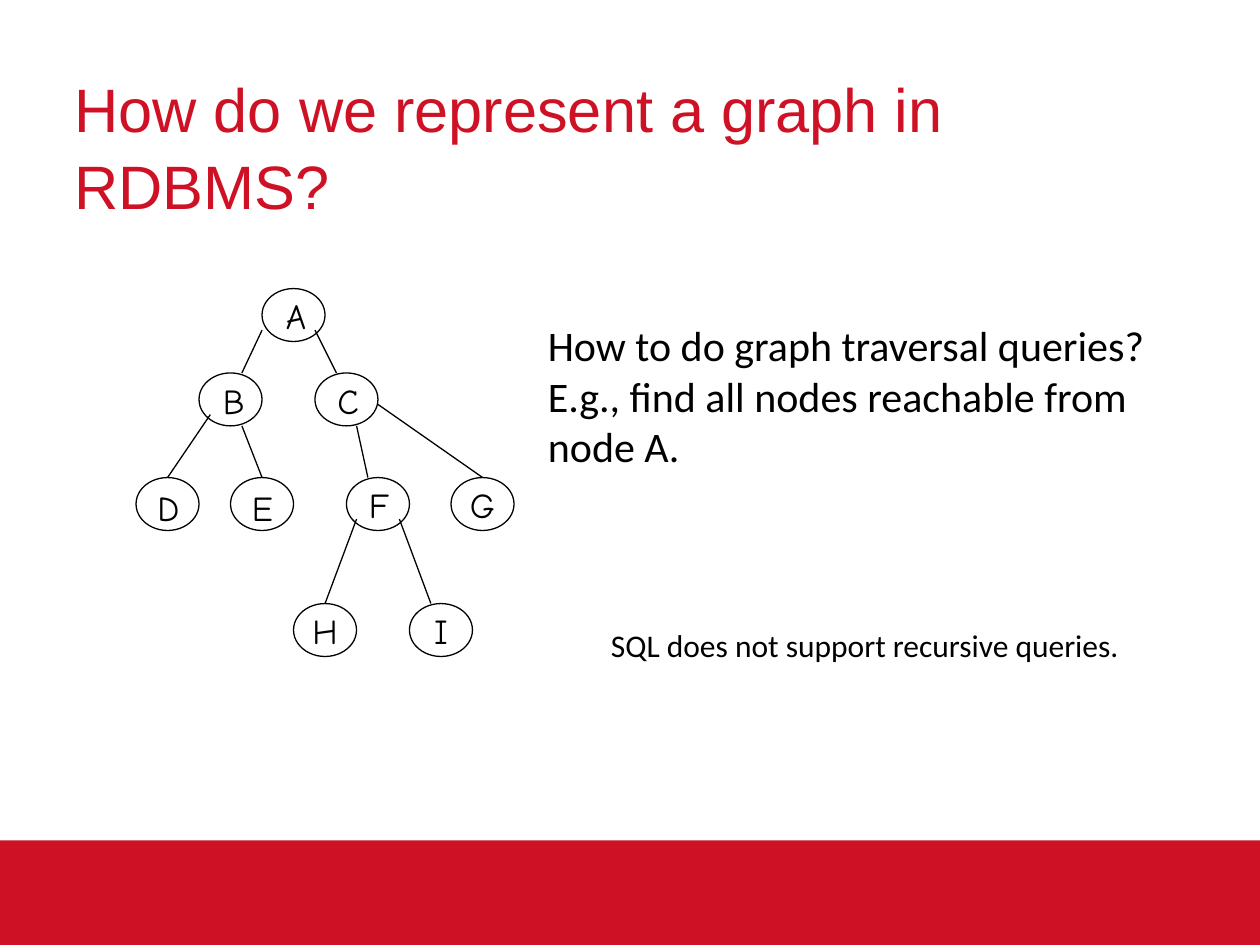
import pptx
import pptx.util
import pptx.dml.color
import pptx.enum.shapes
import pptx.enum.text
import pptx.oxml.ns
import lxml.etree

Inches, Pt = pptx.util.Inches, pptx.util.Pt
Kind = pptx.enum.shapes.MSO_SHAPE
Anchor = pptx.enum.text.MSO_ANCHOR
Align = pptx.enum.text.PP_ALIGN
Fit = pptx.enum.text.MSO_AUTO_SIZE

# Content
TITLE = "How do we represent a graph in RDBMS?"
NOTES = [
    (["How to do graph traversal queries?",
      "E.g., find all nodes reachable from node A."],
     (4.25, 2.49, 5.5, 1.31), "body", True),
    (["SQL does not support recursive queries."],
     (4.75, 4.92, 4.28, 0.4), "note", False),
]
ROWS = [2.29, 2.96, 3.79, 4.79]
# name: left, row, label box (dx, dy, width) or None for text in the node
NODES = {
    "A": (2.08, 0, (0.09, 0, 0.4)),
    "B": (1.58, 1, (0.09, 0, 0.38)),
    "C": (2.5, 1, (0.08, 0, 0.37)),
    "D": (1.08, 2, (0.07, 0.02, 0.4)),
    "E": (1.83, 2, (0.07, 0.02, 0.38)),
    "F": (2.75, 2, (0.08, 0, 0.37)),
    "G": (3.58, 2, None),
    "H": (2.33, 3, None),
    "I": (3.25, 3, None),
}
# parent, child, exit point in the parent, entry point on the child's top
EDGES = [
    ("A", "B", (0, 0.33), 0.34), ("A", "C", (0.42, 0.33), 0.17),
    ("B", "D", (0.09, 0.33), 0.25), ("B", "E", (0.34, 0.42), 0.25),
    ("C", "F", (0.33, 0.42), 0.17), ("C", "G", (0.5, 0.25), 0.25),
    ("F", "H", (0.08, 0.33), 0.25), ("F", "I", (0.42, 0.33), 0.17),
]
NODE = (0.5, 0.42)
LABEL = 0.43

THEME = {
    "red": pptx.dml.color.RGBColor.from_string("CE1125"),
    "ink": pptx.dml.color.RGBColor.from_string("000000"),
    "line": Pt(0.75),
    "title": {"name": "Arial", "size": Pt(35)},
    "body": {"name": "Calibri", "size": Pt(24)},
    "note": {"name": "Calibri", "size": Pt(18)},
    "node": {"name": "Comic Neue", "size": Pt(20)},
}


def put(item, values):
    for key, value in values.items():
        setattr(item, key, value)


def box(*sides):
    return [Inches(side) for side in sides]


def write(frame, lines, style, color="ink", align=Align.LEFT, **values):
    put(frame, values)
    frame.text = "\n".join(lines)
    for para in frame.paragraphs:
        para.alignment = align
        for run in para.runs:
            put(run.font, THEME[style])
            run.font.color.rgb = THEME[color]


def stroke(line):
    line.color.rgb = THEME["ink"]
    line.width = THEME["line"]


deck = pptx.Presentation()
put(deck, {"slide_width": Inches(10), "slide_height": Inches(7.5)})
slide = deck.slides.add_slide(deck.slide_layouts[5])
shapes = slide.shapes

# Red band at the foot
band = shapes.add_shape(Kind.RECTANGLE, *box(0, 6.67, 10, 0.83))
band.shadow.inherit = False
band.fill.solid()
band.fill.fore_color.rgb = THEME["red"]
band.line.fill.background()

# Title
head = shapes.title
put(head, dict(zip(("left", "top", "width", "height"),
                   box(0.59, 0.58, 8.83, 1.18))))
write(head.text_frame, [TITLE], "title", "red", auto_size=Fit.NONE,
      vertical_anchor=Anchor.BOTTOM, margin_left=0, margin_right=0,
      margin_top=0, margin_bottom=0)
head.text_frame.paragraphs[0].line_spacing = 1.04

# Tree nodes and their labels
tree = shapes.add_group_shape().shapes
for name, (left, row, label) in NODES.items():
    top = ROWS[row]
    oval = tree.add_shape(Kind.OVAL, *box(left, top, *NODE))
    oval.shadow.inherit = False
    oval.fill.background()
    stroke(oval.line)
    if label:
        dx, dy, width = label
        text = tree.add_textbox(*box(left + dx, top + dy, width, LABEL))
        write(text.text_frame, [name], "node", word_wrap=False)
    else:
        write(oval.text_frame, [name], "node", align=Align.CENTER,
              word_wrap=False, vertical_anchor=Anchor.MIDDLE)

# Tree edges
for start, end, (dx, dy), entry in EDGES:
    left, row, _ = NODES[start]
    goal, low, _ = NODES[end]
    edge = tree.add_connector(
        pptx.enum.shapes.MSO_CONNECTOR.STRAIGHT,
        *box(left + dx, ROWS[row] + dy, goal + entry, ROWS[low]))
    stroke(edge.line)
    props = edge.element.find(pptx.oxml.ns.qn("p:spPr"))
    lxml.etree.SubElement(props, pptx.oxml.ns.qn("a:effectLst"))

# Remarks beside the tree
for lines, place, style, wrap in NOTES:
    text = shapes.add_textbox(*box(*place))
    write(text.text_frame, lines, style, word_wrap=wrap)

deck.save("out.pptx")
